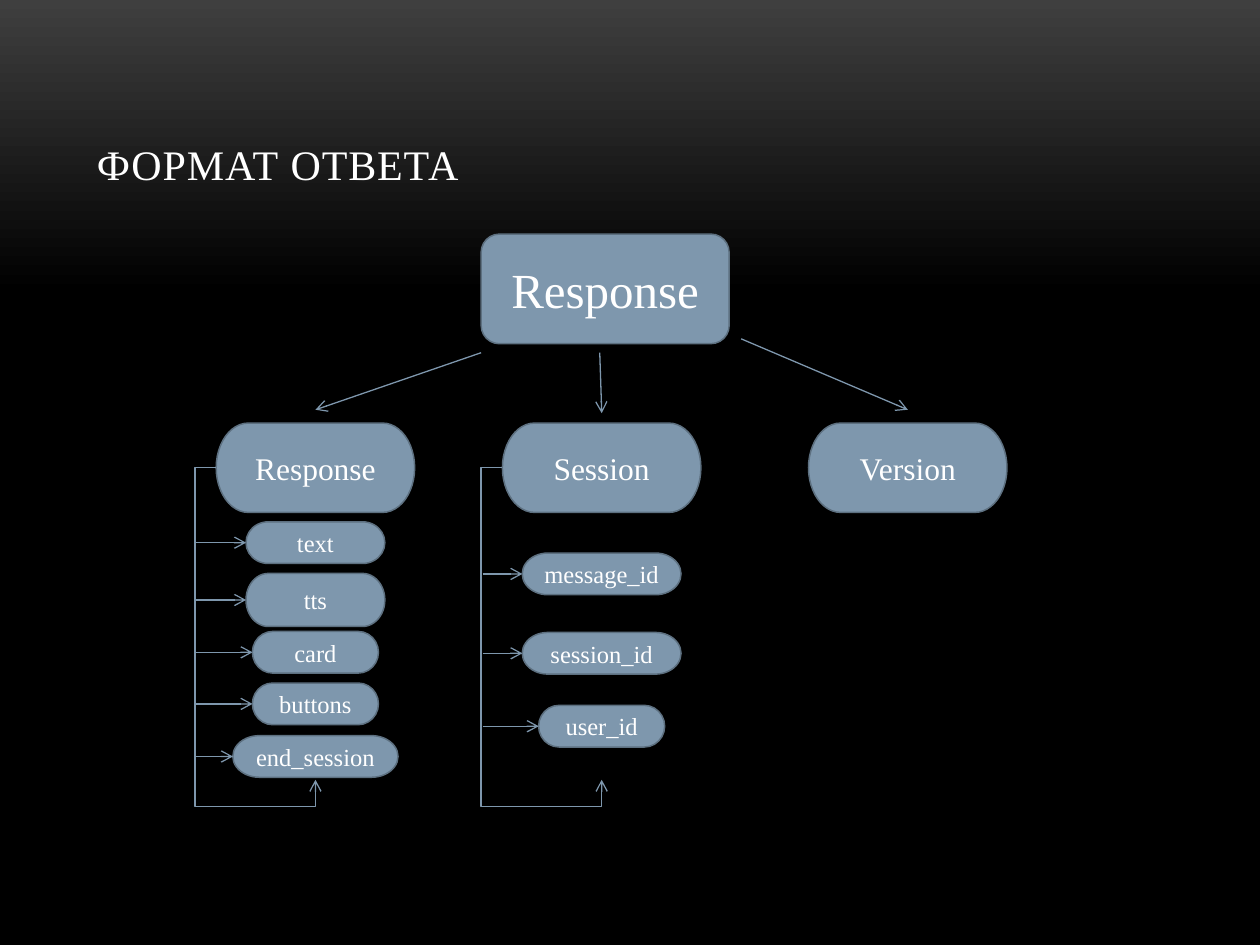
import pptx
import pptx.util
import pptx.dml.color
import pptx.enum.shapes
import pptx.enum.text
import pptx.oxml
import pptx.oxml.ns

Cm, Pt = pptx.util.Cm, pptx.util.Pt
SHAPE = pptx.enum.shapes.MSO_SHAPE
CONNECTOR = pptx.enum.shapes.MSO_CONNECTOR
ALIGN = pptx.enum.text.PP_ALIGN
ANCHOR = pptx.enum.text.MSO_ANCHOR

COLORS = {"glow": "3F3F3F", "back": "000000", "node": "7E97AD",
          "edge": "5D7080", "text": "FFFFFF"}
FONT = "Times New Roman"

# Column layout in centimetres
NODE_WIDTH, NODE_HEIGHT, NODE_TOP = 4.0, 1.8, 8.53
TRUNK_GAP, TRUNK_BOTTOM, TRUNK_END = 0.43, 16.26, 15.72

# Heading, centre, and leaves as (text, top, width, height)
COLUMNS = [
    ("Response", 6.36, [("text", 10.52, 2.8, 0.84), ("tts", 11.56, 2.8, 1.07),
                        ("card", 12.73, 2.54, 0.84), ("buttons", 13.77, 2.54, 0.84),
                        ("end_session", 14.83, 3.33, 0.84)]),
    ("Session", 12.13, [("message_id", 11.15, 3.2, 0.84),
                        ("session_id", 12.75, 3.2, 0.84),
                        ("user_id", 14.22, 2.54, 0.84)]),
    ("Version", 18.3, []),
]


def rgb(name):
    return pptx.dml.color.RGBColor.from_string(COLORS[name])


def apply_format(target, values):
    for name, value in values.items():
        setattr(target, name, value)


def format_font(font, size):
    apply_format(font, {"name": FONT, "size": Pt(size), "bold": False})
    font.color.rgb = rgb("text")


def add_node(slide, kind, box, text, size):
    shape = slide.shapes.add_shape(kind, *[Cm(length) for length in box])
    shape.shadow.inherit = False
    shape.fill.solid()
    shape.fill.fore_color.rgb = rgb("node")
    shape.line.color.rgb = rgb("edge")
    shape.line.width = Pt(0.85)
    apply_format(shape.text_frame, {
        "word_wrap": True, "vertical_anchor": ANCHOR.MIDDLE, "margin_left": 0,
        "margin_right": 0, "margin_top": 0, "margin_bottom": 0})
    paragraph = shape.text_frame.paragraphs[0]
    paragraph.alignment = ALIGN.CENTER
    run = paragraph.add_run()
    run.text = text
    format_font(run.font, size)


def add_arrow(slide, start, end, kind=CONNECTOR.STRAIGHT):
    points = [Cm(length) for length in (*start, *end)]
    connector = slide.shapes.add_connector(kind, *points)
    connector.line.color.rgb = rgb("node")
    connector.line.width = Pt(0.75)
    pptx.oxml.ns.qn("a:tailEnd")
    line = connector.line._get_or_add_ln()
    line.append(pptx.oxml.parse_xml(
        '<a:tailEnd %s type="arrow"/>' % pptx.oxml.ns.nsdecls("a")))
    connector._element.spPr.append(pptx.oxml.parse_xml(
        "<a:effectLst %s/>" % pptx.oxml.ns.nsdecls("a")))
    return connector


def add_trunk(slide, left, center):
    """Elbow arrow that leaves the node, runs below the leaves and turns up."""
    middle = NODE_TOP + NODE_HEIGHT / 2
    width, height = center - left, TRUNK_END - middle
    # Half a turn with both flips keeps the start at the top left
    trunk = add_arrow(slide, (center, TRUNK_END), (left, middle), CONNECTOR.ELBOW)
    trunk.rotation = 180 if hasattr(trunk, "rotation") else 0
    properties = trunk._element.spPr
    properties.find(pptx.oxml.ns.qn("a:xfrm")).set("rot", "10800000")
    geometry = properties.find(pptx.oxml.ns.qn("a:prstGeom"))
    geometry.set("prst", "bentConnector4")
    guides = geometry.find(pptx.oxml.ns.qn("a:avLst"))
    if guides is None:
        guides = pptx.oxml.parse_xml("<a:avLst %s/>" % pptx.oxml.ns.nsdecls("a"))
        geometry.append(guides)
    ratios = (-TRUNK_GAP / width, (TRUNK_BOTTOM - middle) / height)
    for number, ratio in enumerate(ratios, 1):
        guides.append(pptx.oxml.parse_xml(
            '<a:gd %s name="adj%d" fmla="val %d"/>'
            % (pptx.oxml.ns.nsdecls("a"), number, round(ratio * 100000))))


def add_column(slide, heading, center, leaves):
    left = center - NODE_WIDTH / 2
    add_node(slide, SHAPE.FLOWCHART_TERMINATOR,
             (left, NODE_TOP, NODE_WIDTH, NODE_HEIGHT), heading, 18)
    if leaves:
        add_trunk(slide, left, center)
    for text, top, width, height in leaves:
        leaf_left, middle = center - width / 2, top + height / 2
        add_node(slide, SHAPE.FLOWCHART_TERMINATOR,
                 (leaf_left, top, width, height), text, 14)
        add_arrow(slide, (left - TRUNK_GAP + 0.03, middle), (leaf_left, middle))


def add_root(slide, left, top, width, height):
    add_node(slide, SHAPE.FLOWCHART_ALTERNATE_PROCESS,
             (left, top, width, height), "Response", 28)
    bottom = top + height
    starts = [(left, bottom + 0.18), (left + 2.39, bottom + 0.18),
              (left + width + 0.24, bottom - 0.1)]
    ends = [8.26, 8.33, 8.26]
    for start, end, (_, center, _) in zip(starts, ends, COLUMNS):
        add_arrow(slide, start, (center, end))


def set_title(slide, left, top, width, height):
    title = slide.shapes.title
    apply_format(title, {"left": Cm(left), "top": Cm(top),
                         "width": Cm(width), "height": Cm(height)})
    apply_format(title.text_frame, {
        "vertical_anchor": ANCHOR.BOTTOM, "word_wrap": True,
        "auto_size": pptx.enum.text.MSO_AUTO_SIZE.NONE})
    paragraph = title.text_frame.paragraphs[0]
    paragraph.alignment = ALIGN.LEFT
    run = paragraph.add_run()
    run.text = "ФОРМАТ ОТВЕТА"
    format_font(run.font, 24)
    run._r.get_or_add_rPr().set("spc", "50")


def set_background(slide):
    fill = slide.background.fill
    fill.gradient()
    fill.gradient_angle = 270
    for stop, position, name in zip(fill.gradient_stops, (0, 0.31), ("glow", "back")):
        stop.position = position
        stop.color.rgb = rgb(name)


presentation = pptx.Presentation()
presentation.slide_width, presentation.slide_height = Cm(25.4), Cm(19.05)
slide = presentation.slides.add_slide(presentation.slide_layouts[5])
set_background(slide)
set_title(slide, 1.7, 0.76, 22.0, 3.18)
add_root(slide, 9.7, 4.72, 5.0, 2.21)
for column in COLUMNS:
    add_column(slide, *column)
presentation.save("out.pptx")
